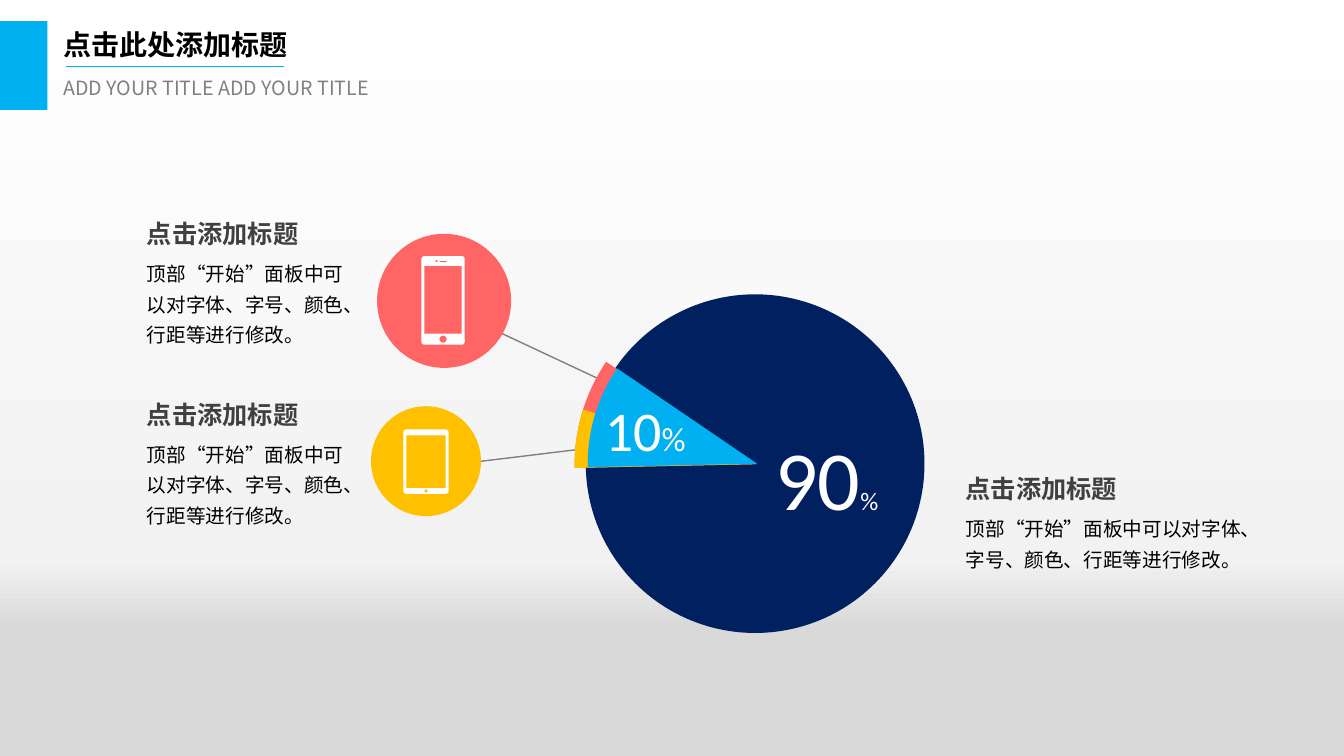
from lxml import etree
from pptx import Presentation
from pptx.dml.color import RGBColor
from pptx.enum.shapes import MSO_CONNECTOR, MSO_SHAPE
from pptx.enum.text import MSO_ANCHOR, MSO_AUTO_SIZE, PP_ALIGN
from pptx.oxml.ns import qn
from pptx.util import Inches, Pt

RECT, ROUNDED = MSO_SHAPE.RECTANGLE, MSO_SHAPE.ROUNDED_RECTANGLE
OVAL, PIE = MSO_SHAPE.OVAL, MSO_SHAPE.PIE
STRAIGHT = MSO_CONNECTOR.STRAIGHT
TOP, LEFT, NO_FIT = MSO_ANCHOR.TOP, PP_ALIGN.LEFT, MSO_AUTO_SIZE.NONE

COLORS = {"blue": "00B0F0", "navy": "002060", "coral": "FF6565", "amber": "FFC000",
          "white": "FFFFFF", "black": "000000", "gray": "808080", "dark": "404040"}
BACKGROUND_STOPS = [(0, "FFFFFF"), (74, "F2F2F2"), (83, "D9D9D9"), (100, "D9D9D9")]
CJK, LATIN = "Noto Sans CJK SC", "Calibri"
HEADING = "点击添加标题"
BODY = "顶部“开始”面板中可以对字体、字号、颜色、行距等进行修改。"


def rgb(name):
    return RGBColor.from_string(COLORS[name])


def style_font(font, size, color, face=CJK, bold=False):
    font.size, font.bold, font.name = Pt(size), bold, face
    font.color.rgb = rgb(color)
    etree.SubElement(font._element, qn("a:ea"), typeface=CJK)


def fill_text(shape, text, size, color, face=CJK, bold=False, spacing=None):
    frame = shape.text_frame
    frame.word_wrap, frame.auto_size, frame.vertical_anchor = True, NO_FIT, TOP
    paragraph = frame.paragraphs[0]
    paragraph.text, paragraph.alignment = text, LEFT
    if spacing:
        paragraph.line_spacing = spacing
    style_font(paragraph.font, size, color, face, bold)


def add_text(slide, x, y, w, h, *text_style, **options):
    box = slide.shapes.add_textbox(Inches(x), Inches(y), Inches(w), Inches(h))
    fill_text(box, *text_style, **options)


def add_solid(slide, kind, x, y, w, h, color):
    shape = slide.shapes.add_shape(kind, Inches(x), Inches(y), Inches(w), Inches(h))
    shape.shadow.inherit = False
    shape.fill.solid()
    shape.fill.fore_color.rgb = rgb(color)
    shape.line.fill.background()
    return shape


def add_line(slide, start, end, color, width):
    line = slide.shapes.add_connector(STRAIGHT, *map(Inches, start + end))
    line.line.color.rgb, line.line.width = rgb(color), Pt(width)
    etree.SubElement(line._element.spPr, qn("a:effectLst"))


def paint_background(slide):
    fill = slide.background.fill
    fill.gradient()
    fill.gradient_angle = 270
    stops = slide._element.find(".//" + qn("a:gsLst"))
    for stop in list(stops):
        stops.remove(stop)
    for position, color in BACKGROUND_STOPS:
        stop = etree.SubElement(stops, qn("a:gs"), pos=str(position * 1000))
        etree.SubElement(stop, qn("a:srgbClr"), val=color)


def add_header(slide, x, y):
    add_solid(slide, RECT, x, y, 0.47, 0.88, "blue")
    title = slide.shapes.title
    title.left, title.top = Inches(x + 0.53), Inches(y + 0.01)
    title.width, title.height = Inches(2.7), Inches(0.44)
    fill_text(title, "点击此处添加标题", 20, "black", bold=True)
    add_line(slide, (x + 0.65, y + 0.45), (x + 2.82, y + 0.45), "blue", 0.5)
    add_text(slide, x + 0.53, y + 0.49, 4.25, 0.57,
             "ADD YOUR TITLE ADD YOUR TITLE", 14, "gray")


def add_percentage(slide, x, y, w, h, number, size, sign_size):
    box = slide.shapes.add_textbox(Inches(x), Inches(y), Inches(w), Inches(h))
    box.text_frame.word_wrap = False
    paragraph = box.text_frame.paragraphs[0]
    for text, run_size in ((number, size), ("%", sign_size)):
        run = paragraph.add_run()
        run.text = text
        style_font(run.font, run_size, "white", LATIN)


def add_share_chart(slide, x, y, size):
    """Full disc, with the small share and its two-part outer rim on top."""
    add_solid(slide, OVAL, x, y, size, size, "navy")
    rim = size + 0.25
    for dx, dy, diameter, end, color in (
            (-0.11, -0.12, rim, 147.45, "coral"),
            (-0.11, -0.12, rim, 137.4, "amber"),
            (0.02, 0, size, 147.45, "blue")):
        wedge = add_solid(slide, PIE, x + dx, y + dy, diameter, diameter, color)
        wedge.rotation = 328.5
        wedge.adjustments[0], wedge.adjustments[1] = 126.19, end
    add_percentage(slide, x + 1.78, y + 1.26, 1.23, 1.11, "90", 60, 18)
    add_percentage(slide, x + 0.09, y + 0.95, 1.01, 0.77, "10", 40, 24)


def add_device(slide, x, y, w, h, color, bezel, top, bottom, button):
    """White device body with a screen and a round button in the disc colour."""
    body = add_solid(slide, ROUNDED, x, y, w, h, "white")
    body.adjustments[0] = bezel / w
    add_solid(slide, RECT, x + bezel, y + top, w - 2 * bezel, h - top - bottom, color)
    add_solid(slide, OVAL, x + (w - button) / 2, y + h - (bottom + button) / 2,
              button, button, color)


def add_phone(slide, x, y, size):
    add_solid(slide, OVAL, x, y, size, size, "coral")
    add_device(slide, x + 0.44, y + 0.22, 0.43, 0.88, "coral", 0.03, 0.1, 0.11, 0.07)
    add_solid(slide, OVAL, x + 0.58, y + 0.26, 0.02, 0.02, "coral")
    add_solid(slide, RECT, x + 0.62, y + 0.27, 0.07, 0.01, "coral")


def add_tablet(slide, x, y, size):
    add_solid(slide, OVAL, x, y, size, size, "amber")
    add_device(slide, x + 0.32, y + 0.23, 0.45, 0.64, "amber", 0.03, 0.06, 0.06, 0.03)


def add_callout(slide, x, y, w, face=CJK):
    add_text(slide, x, y + 0.36, w, 1.02, BODY, 14, "black", face, spacing=1.3)
    add_text(slide, x, y, w, 0.4, HEADING, 18, "dark", bold=True)


def main():
    deck = Presentation()
    deck.slide_width, deck.slide_height = Inches(13.33), Inches(7.5)
    slide = deck.slides.add_slide(deck.slide_layouts[5])
    paint_background(slide)
    # Leader lines lie behind the discs
    add_line(slide, (4.96, 3.3), (5.92, 3.75), "gray", 1)
    add_line(slide, (4.74, 4.58), (5.81, 4.45), "gray", 1)
    add_header(slide, 0, 0.21)
    add_share_chart(slide, 5.81, 2.92, 3.36)
    add_phone(slide, 3.74, 2.32, 1.33)
    add_tablet(slide, 3.68, 4.03, 1.09)
    # Explanations
    add_callout(slide, 1.36, 2.12, 2.23)
    add_callout(slide, 1.36, 3.91, 2.23)
    add_callout(slide, 9.48, 4.65, 3.22, LATIN)
    deck.save("out.pptx")


if __name__ == "__main__":
    main()
